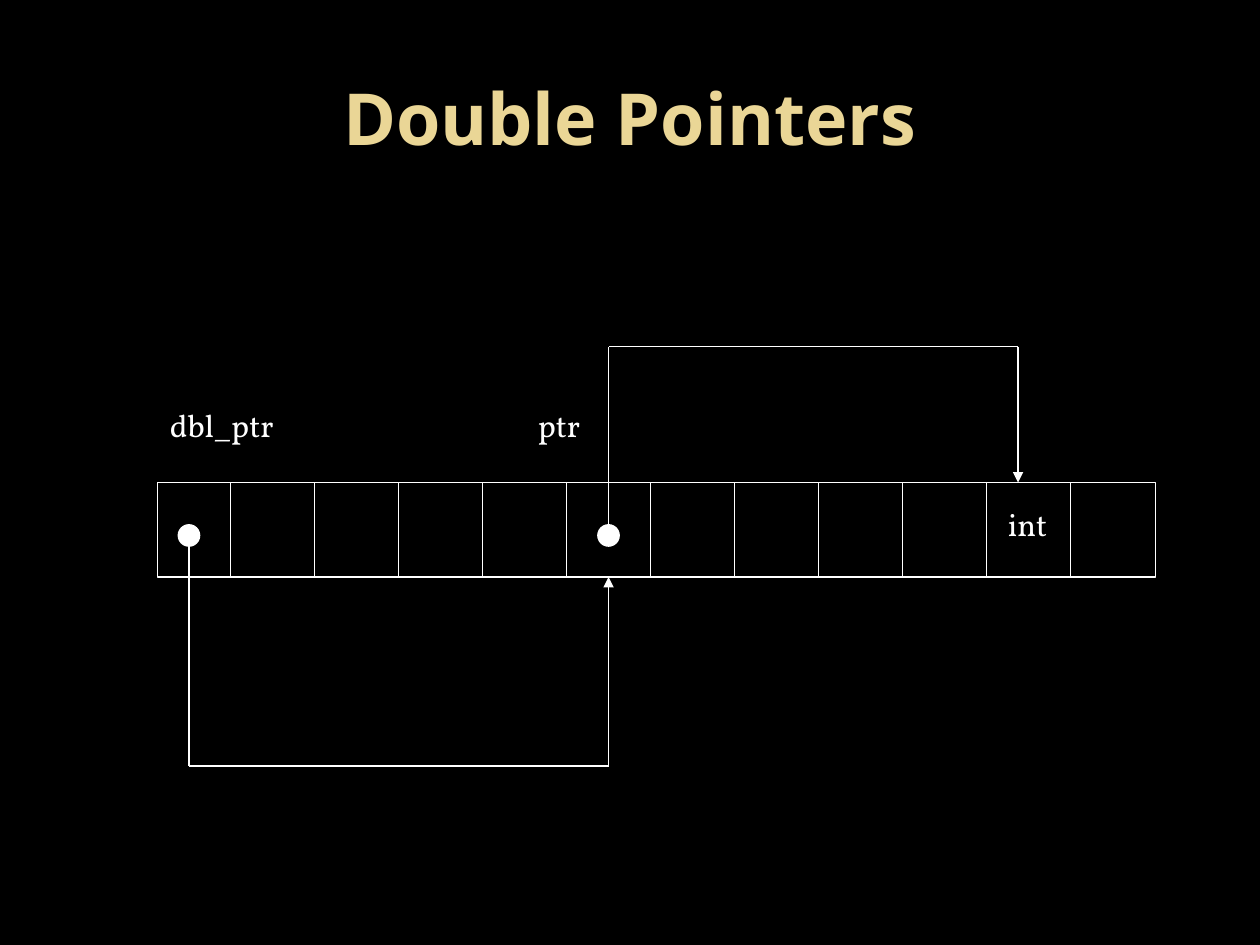
from lxml import etree
from pptx import Presentation
from pptx.dml.color import RGBColor
from pptx.enum.shapes import MSO_CONNECTOR, MSO_SHAPE
from pptx.enum.text import MSO_ANCHOR, PP_ALIGN
from pptx.oxml.ns import qn
from pptx.util import Inches, Pt

color = RGBColor.from_string
BLACK, WHITE, GOLD = "000000", "FFFFFF", "EAD696"

presentation = Presentation()
presentation.slide_width = Inches(10)
presentation.slide_height = Inches(7.5)
slide = presentation.slides.add_slide(presentation.slide_layouts[6])
slide.background.fill.solid()
slide.background.fill.fore_color.rgb = color(BLACK)


def add_line(start, end, arrow=False):
    points = [Inches(value) for value in (*start, *end)]
    line = slide.shapes.add_connector(MSO_CONNECTOR.STRAIGHT, *points)
    line.line.color.rgb = color(WHITE)
    line.line.width = Pt(0.75)
    if arrow:
        etree.SubElement(line.line._get_or_add_ln(), qn("a:tailEnd"), type="triangle")
    etree.SubElement(line._element.spPr, qn("a:effectLst"))


def add_shape(kind, left, top, width, height, fill):
    shape = slide.shapes.add_shape(
        kind, Inches(left), Inches(top), Inches(width), Inches(height))
    shape.shadow.inherit = False
    shape.fill.solid()
    shape.fill.fore_color.rgb = color(fill)
    shape.line.color.rgb = color(WHITE)
    shape.line.width = Pt(0.75)


# Memory strip with its cell dividers
strip_left, strip_top, strip_bottom, strip_right = 1.25, 3.83, 4.58, 9.17
add_shape(MSO_SHAPE.RECTANGLE, strip_left, strip_top,
          strip_right - strip_left, strip_bottom - strip_top, BLACK)
for index in range(11):
    divider = 1.83 + index * 2 / 3
    add_line((divider, strip_top), (divider, strip_bottom))

# Pointers: a dot in the cell and a path to the target
dot_size, dot_center = 0.17, 4.25
pointers = [
    (1.5, 6.08, 4.83, strip_bottom),  # dbl_ptr to ptr
    (4.83, 2.75, 8.08, strip_top),  # ptr to int
]
for source, turn, target, end in pointers:
    add_shape(MSO_SHAPE.OVAL, source - dot_size / 2, dot_center - dot_size / 2,
              dot_size, dot_size, WHITE)
    add_line((source, dot_center), (source, turn))
    add_line((source, turn), (target, turn))
    add_line((target, turn), (target, end), arrow=True)

# Title and labels
texts = [
    ("Double Pointers", 0.5, 0.3, 9, 1.25, "Open Sans", 41, GOLD),
    ("int", 7.9, 3.96, 0.55, 0.5, "Vollkorn", 18, WHITE),
    ("dbl_ptr", 1.25, 3.17, 1.03, 0.4, "Vollkorn", 18, WHITE),
    ("ptr", 4.17, 3.17, 0.54, 0.4, "Vollkorn", 18, WHITE),
]
for text, left, top, width, height, font_name, size, text_color in texts:
    box = slide.shapes.add_textbox(
        Inches(left), Inches(top), Inches(width), Inches(height))
    is_title = text_color == GOLD
    text_frame = box.text_frame
    text_frame.text = text
    text_frame.word_wrap = is_title
    text_frame.vertical_anchor = MSO_ANCHOR.MIDDLE if is_title else MSO_ANCHOR.TOP
    paragraph = text_frame.paragraphs[0]
    paragraph.alignment = PP_ALIGN.CENTER if is_title else PP_ALIGN.LEFT
    font = paragraph.runs[0].font
    font.name = font_name
    font.size = Pt(size)
    font.bold = is_title
    font.color.rgb = color(text_color)

presentation.save("out.pptx")
